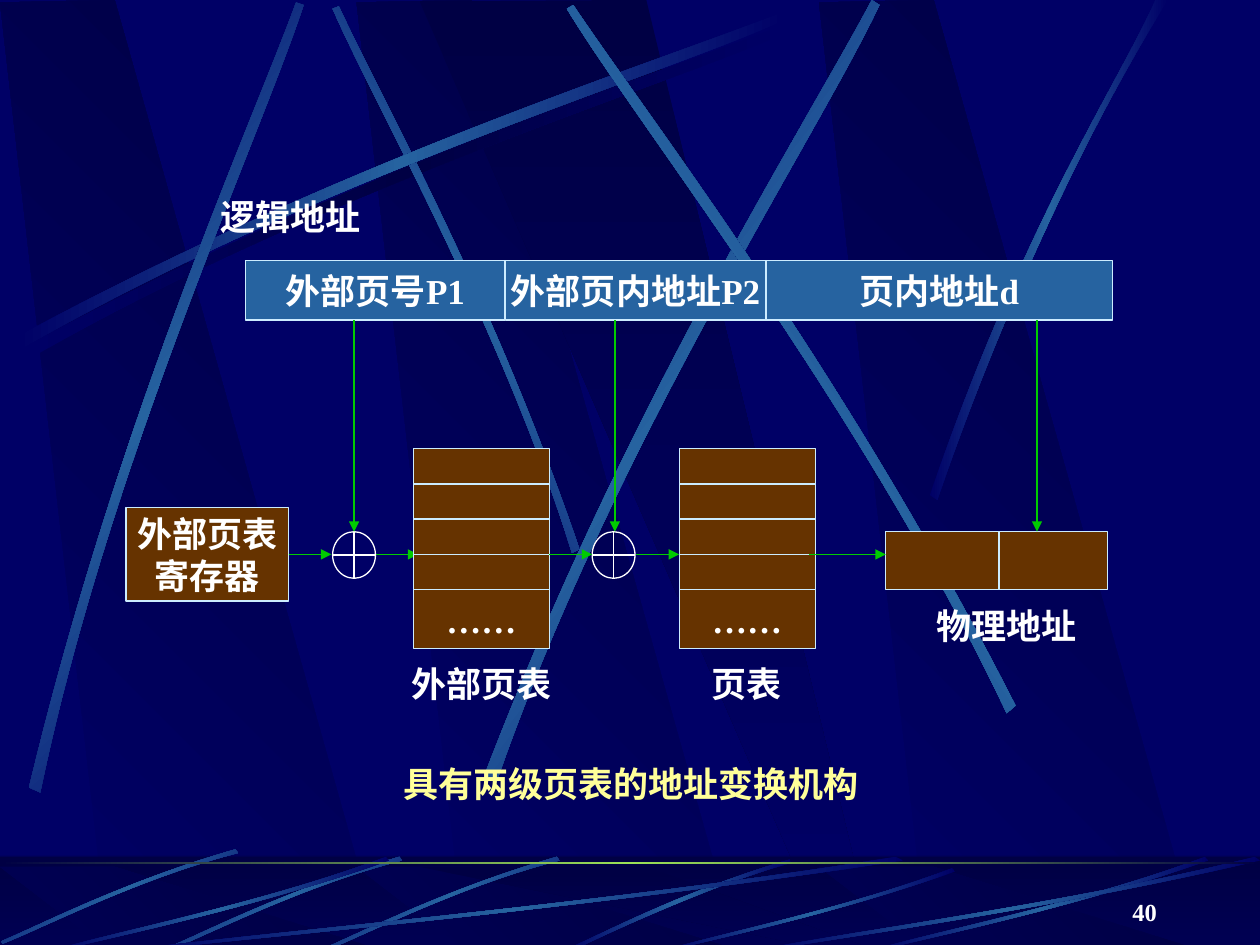
from lxml import etree
from pptx import Presentation
from pptx.dml.color import RGBColor
from pptx.enum.shapes import MSO_CONNECTOR, MSO_SHAPE
from pptx.enum.text import MSO_ANCHOR, MSO_AUTO_SIZE, PP_ALIGN
from pptx.oxml.ns import qn
from pptx.util import Inches, Pt

RECTANGLE, ADDER = MSO_SHAPE.RECTANGLE, MSO_SHAPE.FLOWCHART_OR
STRAIGHT = MSO_CONNECTOR.STRAIGHT
MIDDLE, TOP, BOTTOM = MSO_ANCHOR.MIDDLE, MSO_ANCHOR.TOP, MSO_ANCHOR.BOTTOM
LEFT, CENTER, RIGHT = PP_ALIGN.LEFT, PP_ALIGN.CENTER, PP_ALIGN.RIGHT
GROW, FIXED = MSO_AUTO_SIZE.SHAPE_TO_FIT_TEXT, MSO_AUTO_SIZE.NONE
NAVY, NIGHT, BLUE, BROWN, PALE = "000066", "000044", "2663A0", "663300", "CCECFF"
WHITE, GREEN, YELLOW, LIME = "FFFFFF", "00CC00", "FFFF99", "9CE157"

color = RGBColor.from_string
deck = Presentation()
deck.slide_width, deck.slide_height = Inches(10), Inches(7.5)
unit = deck.slide_width // 10
page = deck.slides.add_slide(deck.slide_layouts[6])
page.background.fill.solid()
page.background.fill.fore_color.rgb = color(NAVY)


def paint(shape, colors, angle):
    shape.shadow.inherit = False
    shape.line.fill.background()
    if len(colors) == 1:
        shape.fill.solid()
        shape.fill.fore_color.rgb = color(colors[0])
        tint = shape._element.spPr.find(".//" + qn("a:srgbClr"))
        etree.SubElement(tint, qn("a:alpha")).set("val", "50000")
        return
    shape.fill.gradient()
    shape.fill.gradient_angle = -angle % 360
    stops = shape._element.spPr.find(".//" + qn("a:gsLst"))
    for stop in list(stops):
        stops.remove(stop)
    for index, value in enumerate(colors):
        stop = etree.SubElement(stops, qn("a:gs"))
        stop.set("pos", str(100000 * index // (len(colors) - 1)))
        etree.SubElement(stop, qn("a:srgbClr")).set("val", value)


def write(shape, lines, align=CENTER, anchor=MIDDLE, size=20, ink=WHITE, wrap=False, fit=FIXED):
    frame = shape.text_frame
    for name, value in {"word_wrap": wrap, "auto_size": fit, "vertical_anchor": anchor}.items():
        setattr(frame, name, value)
    for index, line in enumerate(lines):
        para = frame.paragraphs[0] if index == 0 else frame.add_paragraph()
        para.alignment = align
        span = para.add_run()
        span.text = line
        for name, value in {"name": "Times New Roman", "size": Pt(size), "bold": True}.items():
            setattr(span.font, name, value)
        span.font.color.rgb = color(ink)


shafts = (2.83, 0, 6.5)
glow, shade = (NAVY, BLUE, NAVY), (NAVY, NIGHT, NAVY)
upper = [([(x + 0.86, 7.5), (x + 3.02, 7.5), (x + 0.91, 0), (x, 0.02)], (NAVY, NIGHT), 315) for x in shafts]
upper.append(([(3.33, 0.01), (6.58, 7.5), (6.94, 7.5), (5.13, 0)], (NIGHT, NAVY), 90))
floor = [([(x + 0.86, 7.54), (x + 3.02, 7.54), (x + 0.91, 6.88), (x, 6.88)], (NAVY, NIGHT), 315) for x in shafts]
floor.append(([(3.33, 6.88), (6.58, 7.54), (6.94, 7.54), (5.13, 6.88)], (NIGHT, NAVY), 90))

long_streak = [(0, 2.57), (2.64, 1.15), (5.04, 0.41), (6.06, 0), (6.09, 0.06), (5.08, 0.51), (2.34, 1.33), (0.03, 2.67)]
short_streak = [(1.86, 0.04), (0.99, 0.29), (0.31, 0.64), (0, 0.77), (0.01, 0.79), (0.32, 0.67), (1.09, 0.27), (1.88, 0.07)]
fan_streak = [(1, 0.04), (0.57, 0.57), (0.17, 0.85), (0.01, 1), (0, 0.99), (0.16, 0.81), (0.61, 0.51), (0.99, 0)]
high_streaks = [
    ([(x + 0.2, y + 0.18) for x, y in long_streak], shade, 0),
    ([(4.6, 4.36), (3.91, 2.34), (3.02, 0.77), (2.69, 0.05), (2.64, 0.07), (2.95, 0.79), (3.98, 2.58), (4.54, 4.39)], glow, 315),
    ([(x + 0.14, y + 0.1) for x, y in long_streak], glow, 0),
    ([(0.23, 6.25), (0.93, 3.34), (1.97, 1.05), (2.35, 0.02), (2.41, 0.04), (2.07, 1.08), (0.86, 3.68), (0.32, 6.29)], glow, 48.3),
    ([(3.85, 6.14), (4.98, 3.2), (6.38, 1.02), (6.92, 0), (6.98, 0.04), (6.49, 1.08), (4.86, 3.55), (3.94, 6.21)], glow, 38.4),
    ([(8.06, 5.6), (6.7, 2.93), (5.16, 0.95), (4.55, 0.04), (4.5, 0.07), (5.07, 1.01), (6.85, 3.25), (7.99, 5.66)], glow, 325.2),
    ([(7.38, 3.93), (8.14, 1.73), (8.88, 0.66), (9.17, 0), (9.27, 0), (8.36, 1.45), (7.69, 3.22), (7.44, 3.97)], glow, 0),
]
low_streaks = [([(6.27, 6.82), (5.37, 7.09), (4.77, 7.42), (4.48, 7.54), (4.53, 7.55), (4.9, 7.37), (5.71, 7), (6.28, 6.85)], glow, 0)]
for left, top in ((2.56, 6.76), (1.31, 6.76), (0.01, 6.7)):
    low_streaks.append(([(left + x, top + y) for x, y in short_streak], glow, 45.1))
for left, top, width in ((1, 6.8, 6.17), (0.42, 6.8, 2.67), (5.27, 6.89, 2.31), (6.92, 6.8, 2.67), (6, 6.8, 4)):
    low_streaks.append(([(left + x * width, top + y * (7.55 - top)) for x, y in fan_streak], glow, 0))

layers = (
    (None, upper + high_streaks),
    ((6.8, 0.75, (NIGHT, NAVY), 90), floor),
    ((6.79, 0.75, (NIGHT,), 0), low_streaks),
    ((6.84, 0.02, (NIGHT, LIME, NIGHT), 0), []),
)
for band, outlines in layers:
    if band:
        top, height, colors, angle = band
        paint(page.shapes.add_shape(RECTANGLE, 0, int(top * unit), deck.slide_width, int(height * unit)), colors, angle)
    for points, colors, angle in outlines:
        corners = [(x * unit, y * unit) for x, y in points]
        builder = page.shapes.build_freeform(*corners[0], scale=1.0)
        builder.add_line_segments(corners[1:], close=True)
        outline = builder.convert_to_shape()
        paint(outline, colors, angle)
        if len(points) == 8:
            segments = outline._element.spPr.findall(".//" + qn("a:lnTo"))
            for bend in (segments[:3], segments[4:7]):
                curve = etree.Element(qn("a:cubicBezTo"))
                bend[0].addprevious(curve)
                for segment in bend:
                    curve.append(segment[0])
                    segment.getparent().remove(segment)

boxes = [
    (RECTANGLE, 1, 4.03, 1.29, 0.74, BROWN, ["外部页表", "寄存器"]),
    (RECTANGLE, 7.89, 4.22, 0.9, 0.46, BROWN, []),
    (RECTANGLE, 7.03, 4.22, 0.9, 0.46, BROWN, []),
    (RECTANGLE, 1.95, 2.07, 2.06, 0.47, BLUE, ["外部页号P1"]),
    (RECTANGLE, 4.01, 2.07, 2.07, 0.47, BLUE, ["外部页内地址P2"]),
    (RECTANGLE, 6.08, 2.07, 2.75, 0.47, BLUE, ["页内地址d"]),
    (ADDER, 2.64, 4.22, 0.34, 0.37, None, []),
    (ADDER, 4.7, 4.22, 0.34, 0.37, None, []),
]
for left in (3.28, 5.39):
    boxes += [(RECTANGLE, left, 3.56 + 0.28 * row, 1.08, 0.28, BROWN, []) for row in range(4)]
    boxes.append((RECTANGLE, left, 4.68, 1.08, 0.47, BROWN, ["……"]))
drawn = []
for kind, left, top, width, height, fill, lines in boxes:
    box = page.shapes.add_shape(kind, *(int(v * unit) for v in (left, top, width, height)))
    box.shadow.inherit = False
    box.line.width = Pt(0.75)
    box.line.color.rgb = color(PALE if fill else WHITE)
    if fill:
        box.fill.solid()
        box.fill.fore_color.rgb = color(fill)
    else:
        box.fill.background()
    write(box, lines)
    drawn.append(box)
register = drawn[0]

arrows = [(x, 2.54, x, 4.22) for x in (2.81, 4.88, 8.23)]
arrows += [(a, 4.4, b, 4.4) for a, b in ((2.29, 2.63), (2.98, 3.32), (4.36, 4.7), (5.05, 5.39), (6.42, 7.03))]
for ends in arrows:
    arrow = page.shapes.add_connector(STRAIGHT, *(int(v * unit) for v in ends))
    arrow.line.width = Pt(0.75)
    arrow.line.color.rgb = color(GREEN)
    etree.SubElement(arrow.line._get_or_add_ln(), qn("a:tailEnd")).set("type", "triangle")
    etree.SubElement(arrow._element.spPr, qn("a:effectLst"))
    if ends[0] == 2.29:
        arrow.begin_connect(register, 3)
    if ends[0] == 2.98:
        register._element.addprevious(arrow._element)

labels = (
    (1.65, 1.5, 1.31, 0.44, "逻辑地址", {}),
    (3.16, 5.21, 1.32, 0.44, "外部页表", {}),
    (5.54, 5.21, 0.77, 0.44, "页表", {}),
    (7.33, 4.75, 1.32, 0.44, "物理地址", {}),
    (3.1, 6, 3.82, 0.44, "具有两级页表的地址变换机构", {"align": LEFT, "ink": YELLOW}),
    (7.2, 6.9, 2.08, 0.5, "40", {"align": RIGHT, "anchor": BOTTOM, "size": 14, "wrap": True, "fit": FIXED}),
)
for left, top, width, height, text, style in labels:
    label = page.shapes.add_textbox(*(int(v * unit) for v in (left, top, width, height)))
    write(label, [text], **{"anchor": TOP, "fit": GROW, **style})

deck.save("out.pptx")
